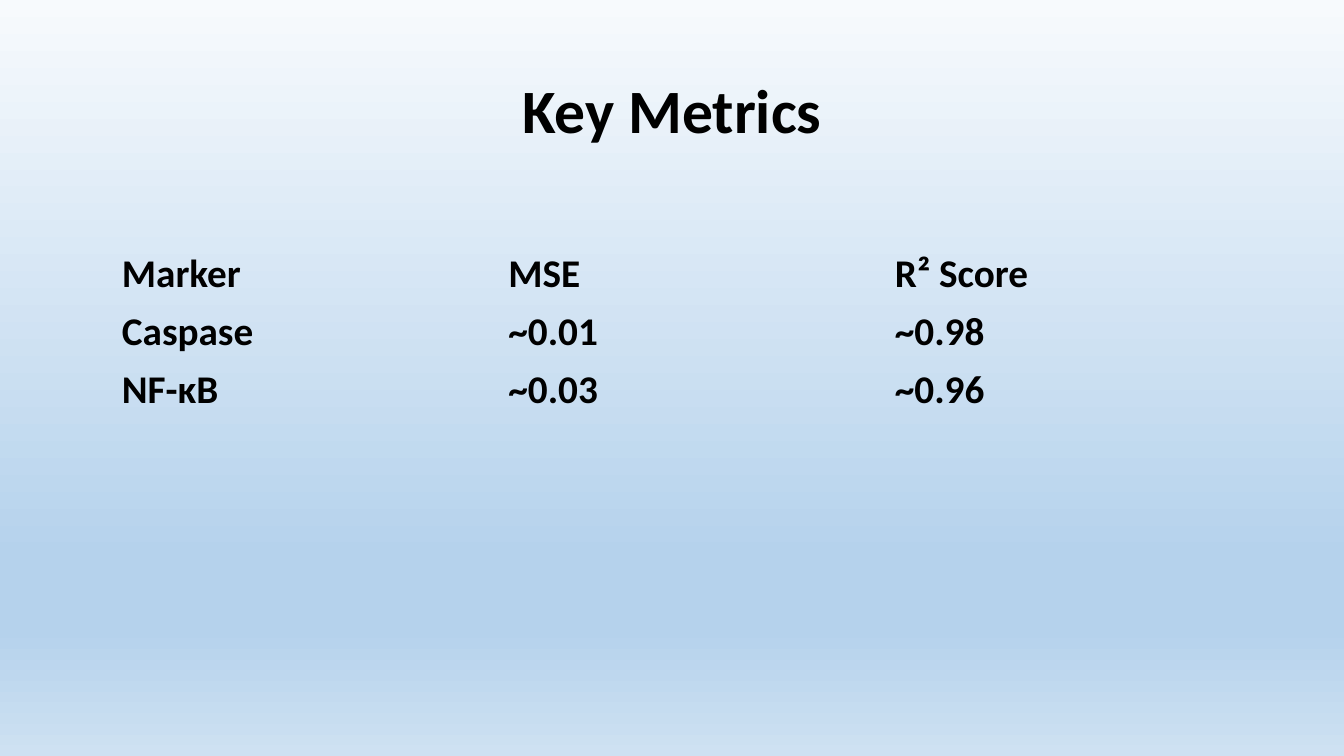
"""Build the Key Metrics slide with a table of marker scores."""
from copy import deepcopy
from typing import NamedTuple

from pptx import Presentation
from pptx.dml.color import RGBColor
from pptx.enum.text import MSO_ANCHOR, PP_ALIGN
from pptx.oxml.ns import qn
from pptx.slide import Slide
from pptx.text.text import _Paragraph
from pptx.util import Cm, Pt

MIDDLE = MSO_ANCHOR.MIDDLE
CENTER = PP_ALIGN.CENTER
FONT = "Calibri"
INK = "000000"
NO_GRID_STYLE = "{2D5ABB26-0587-4C30-8999-92F81FD0307C}"
COLUMN_WIDTH = 9.74
ROW_HEIGHT = 1.46


class Shade(NamedTuple):
    position: float
    color: str


class Metric(NamedTuple):
    marker: str
    mse: str
    r2: str


SKY = [
    Shade(0, "F7FAFD"),
    Shade(0.74, "B5D2EC"),
    Shade(0.83, "B5D2EC"),
    Shade(1, "CEE1F2"),
]
METRICS = [
    Metric("Marker", "MSE", "R² Score"),
    Metric("Caspase", "~0.01", "~0.98"),
    Metric("NF-κB", "~0.03", "~0.96"),
]


def rgb(color: str) -> RGBColor:
    """Turn a hex string into a colour."""
    return RGBColor.from_string(color)


def write(paragraph: _Paragraph, text: str, size: float) -> None:
    """Add one bold run to a paragraph."""
    run = paragraph.add_run()
    run.text = text
    run.font.name = FONT
    run.font.size = Pt(size)
    run.font.bold = True
    run.font.color.rgb = rgb(INK)


def paint_background(slide: Slide, shades: list[Shade]) -> None:
    """Fill the background with a gradient running downwards."""
    fill = slide.background.fill
    fill.gradient()
    fill.gradient_angle = 270
    stops = slide.element.find(f".//{qn('a:gsLst')}")
    for _ in range(len(shades) - len(stops)):
        stops.append(deepcopy(stops[0]))
    for stop, shade in zip(fill.gradient_stops, shades):
        stop.position = shade.position
        stop.color.rgb = rgb(shade.color)


def add_title(slide: Slide, text: str) -> None:
    """Add the centred slide title."""
    title = slide.shapes.add_textbox(Cm(2.33), Cm(1.01), Cm(29.21), Cm(3.68))
    frame = title.text_frame
    frame.word_wrap = True
    frame.vertical_anchor = MIDDLE
    heading = frame.paragraphs[0]
    heading.alignment = CENTER
    heading.line_spacing = 0.9
    write(heading, text, 44)


def add_metrics(slide: Slide, metrics: list[Metric]) -> None:
    """Add the metrics as a table without fills or grid."""
    columns = len(Metric._fields)
    frame = slide.shapes.add_table(
        len(metrics), columns, Cm(2.82), Cm(6.17),
        Cm(COLUMN_WIDTH * columns), Cm(ROW_HEIGHT * len(metrics)),
    )
    table = frame.table
    table.first_row = False
    table.horz_banding = False
    frame.element.find(f".//{qn('a:tableStyleId')}").text = NO_GRID_STYLE
    for row, metric in enumerate(metrics):
        for column, value in enumerate(metric):
            cell = table.cell(row, column)
            cell.fill.background()
            cell.vertical_anchor = MIDDLE
            write(cell.text_frame.paragraphs[0], value, 28)


def main() -> None:
    """Build and save the presentation."""
    deck = Presentation()
    deck.slide_width = Cm(33.87)
    deck.slide_height = Cm(19.05)
    slide = deck.slides.add_slide(deck.slide_layouts[6])
    paint_background(slide, SKY)
    add_title(slide, "Key Metrics")
    add_metrics(slide, METRICS)
    deck.save("out.pptx")


if __name__ == "__main__":
    main()
